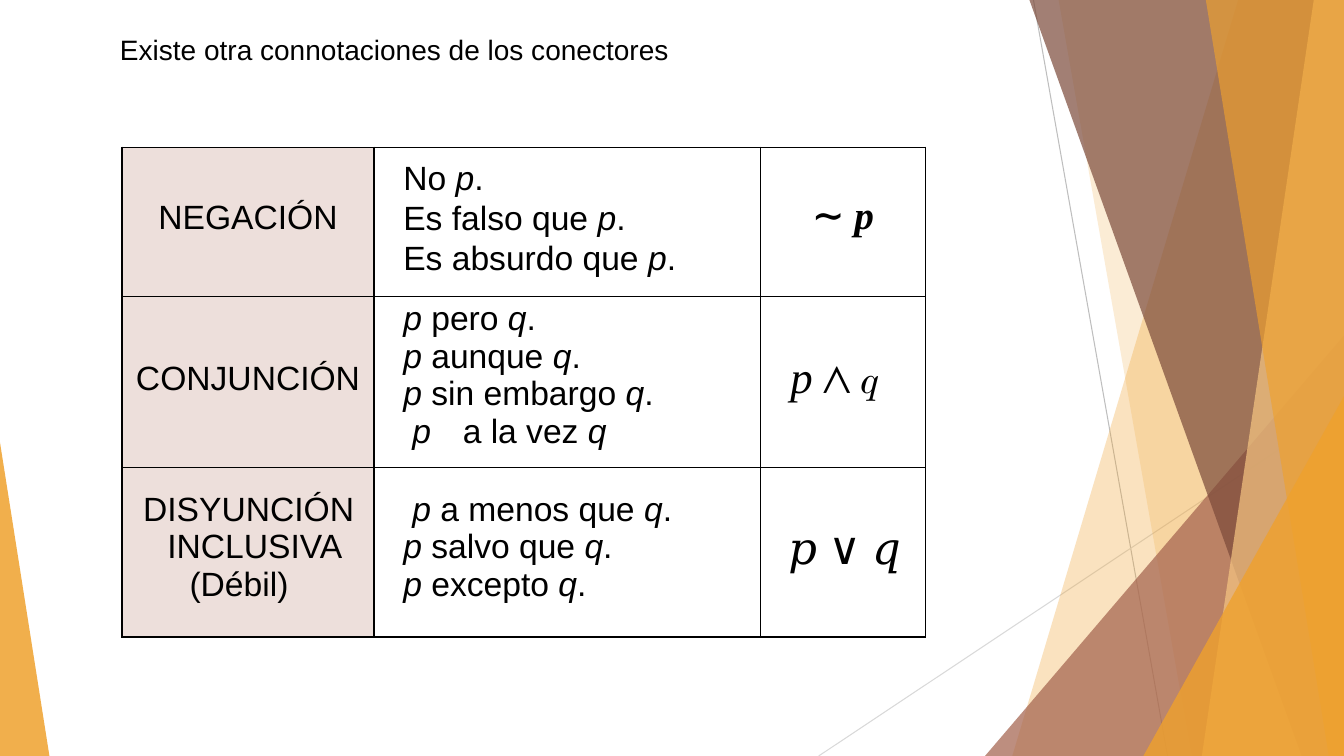
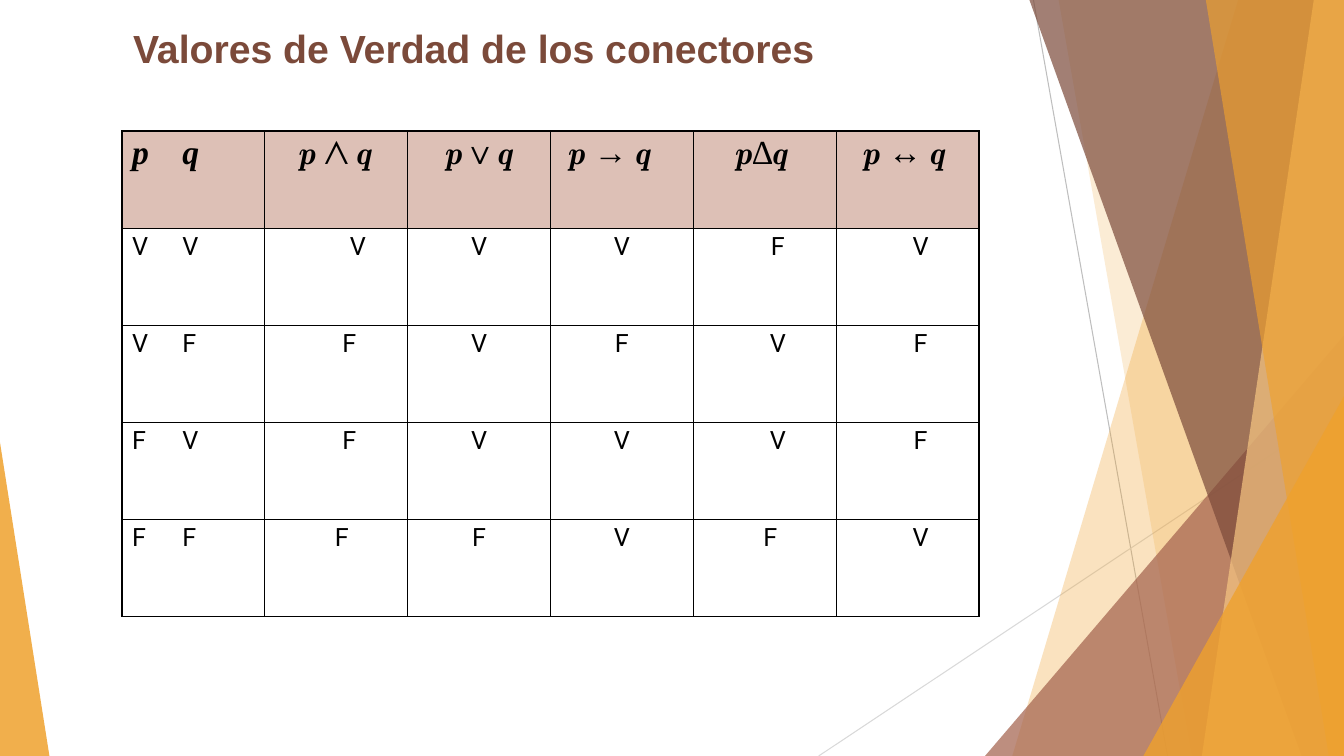
from lxml import etree
from pptx import Presentation
from pptx.dml.color import RGBColor
from pptx.enum.shapes import MSO_CONNECTOR
from pptx.enum.text import MSO_ANCHOR, PP_ALIGN
from pptx.oxml.ns import qn
from pptx.util import Inches, Pt

LEFT, CENTER = PP_ALIGN.LEFT, PP_ALIGN.CENTER
TOP = MSO_ANCHOR.TOP
STRAIGHT = MSO_CONNECTOR.STRAIGHT

COLORS = {
    "black": "000000", "orange": "EFA12D", "sand": "F6C682", "brown": "7B4A3A",
    "rust": "A4634E", "gray": "BEBEBE", "light_gray": "D9D9D9",
    "label": "EDDFDB", "header": "DDC0B6",
}
BODY, MATH, TRUTH = "Arial", "Times New Roman", "Roboto"
WIDTH, HEIGHT = 13.33, 7.5


def write(paragraph, text, size, name=BODY, color="black", bold=False,
          align=LEFT, left=0, tab=None):
    """Write text in one paragraph; parts between asterisks are italic."""
    paragraph.alignment = align
    properties = paragraph._p.get_or_add_pPr()
    properties.set("marL", str(Inches(left)))
    properties.set("indent", "0")
    if tab:
        tabs = etree.SubElement(properties, qn("a:tabLst"))
        etree.SubElement(tabs, qn("a:tab"), pos=str(Inches(tab)), algn="l")
    font = paragraph.font
    font.size, font.name, font.bold = Pt(size), name, bold
    font.color.rgb = RGBColor.from_string(COLORS[color])
    for index, part in enumerate(text.split("*")):
        if part:
            run = paragraph.add_run()
            run.text = part
            if index % 2:
                run.font.italic = True


def add_grid(slide, left, top, widths, heights, fill_for):
    """Add a black-ruled table; fill_for(row, column) gives a colour or None."""
    frame = slide.shapes.add_table(len(heights), len(widths), Inches(left), Inches(top),
                                   Inches(sum(widths)), Inches(sum(heights)))
    table = frame.table
    table.first_row = table.horz_banding = False
    for column, width in zip(table.columns, widths):
        column.width = Inches(width)
    for row, height in zip(table.rows, heights):
        row.height = Inches(height)
    for row in range(len(heights)):
        for column in range(len(widths)):
            cell = table.cell(row, column)
            cell.margin_left = cell.margin_right = cell.margin_bottom = 0
            cell.margin_top = Inches(0.04)
            cell.vertical_anchor = TOP
            color = fill_for(row, column)
            if color:
                cell.fill.solid()
                cell.fill.fore_color.rgb = RGBColor.from_string(COLORS[color])
            else:
                cell.fill.background()
            properties = cell._tc.get_or_add_tcPr()
            for position, side in enumerate(("lnL", "lnR", "lnT", "lnB")):
                border = etree.Element(qn("a:" + side), w=str(Pt(1)))
                solid = etree.SubElement(border, qn("a:solidFill"))
                etree.SubElement(solid, qn("a:srgbClr"), val=COLORS["black"])
                properties.insert(position, border)
    return table


presentation = Presentation()
presentation.slide_width = Inches(WIDTH)
presentation.slide_height = Inches(HEIGHT)
layout = presentation.slide_layouts[6]

# Slides and their titles: text, left, top, width, size, colour, bold
TITLES = [
    ("Existe otra connotaciones de los conectores", 1.19, 0.31, 5.6, 20, "black", False),
    ("Valores de Verdad de los conectores", 1.32, 0.23, 7, 28, "brown", True),
]
slides = []
for text, left, top, width, size, color, bold in TITLES:
    slide = presentation.slides.add_slide(layout)
    slides.append(slide)
    title = slide.shapes.add_textbox(Inches(left), Inches(top), Inches(width), Inches(0.45))
    frame = title.text_frame
    frame.word_wrap = True
    frame.margin_left = frame.margin_right = frame.margin_bottom = 0
    frame.margin_top = Inches(0.01)
    write(frame.paragraphs[0], text, size, color=color, bold=bold)
connotations, truth = slides

# Background lines, moved to the layout that both slides share
for x1, y1, x2, y2, color in [(10.25, 0, 11.58, HEIGHT, "gray"),
                              (WIDTH, 4.03, 8.12, HEIGHT, "light_gray")]:
    line = connotations.shapes.add_connector(STRAIGHT, Inches(x1), Inches(y1),
                                             Inches(x2), Inches(y2))
    line.line.width = Pt(0.75)
    line.line.color.rgb = RGBColor.from_string(COLORS[color])
    etree.SubElement(line._element.spPr, qn("a:effectLst"))
    layout.shapes.element.append(line._element)

# Translucent background bands: colour, opacity in percent, corners
CORNER = (WIDTH, HEIGHT)
BANDS = [
    ("orange", 30, [(WIDTH, 0), (12.28, 0), (10.04, HEIGHT), CORNER]),
    ("orange", 20, [(WIDTH, 0), (10.5, 0), (11.82, HEIGHT), CORNER]),
    ("rust", 72, [(WIDTH, 3.33), (9.77, HEIGHT), CORNER]),
    ("brown", 70, [(WIDTH, 0), (10.21, 0), (12.91, HEIGHT), CORNER]),
    ("sand", 70, [(WIDTH, 0), (13.03, 0), (11.92, HEIGHT), CORNER]),
    ("orange", 65, [(WIDTH, 0), (11.96, 0), (13.18, HEIGHT), CORNER]),
    ("orange", 80, [(WIDTH, 3.93), (11.34, HEIGHT), CORNER]),
    ("orange", 85, [(0, 4.39), (0, HEIGHT), (0.49, HEIGHT)]),
]
for color, opacity, corners in BANDS:
    points = [(Inches(x), Inches(y)) for x, y in corners]
    builder = connotations.shapes.build_freeform(*points[0])
    builder.add_line_segments(points[1:], close=True)
    band = builder.convert_to_shape()
    band.shadow.inherit = False
    band.line.fill.background()
    band.fill.solid()
    band.fill.fore_color.rgb = RGBColor.from_string(COLORS[color])
    tint = band._element.spPr.find(".//" + qn("a:srgbClr"))
    etree.SubElement(tint, qn("a:alpha"), val=str(opacity * 1000))
    layout.shapes.element.append(band._element)

# Slide 1: each cell has a top margin and lines of text, alignment, left, tab
table = add_grid(connotations, 1.21, 1.46, [2.5, 3.83, 1.64], [1.48, 1.7, 1.68],
                 lambda row, column: "label" if column == 0 else None)
PHRASES = [
    [(0.52, [("NEGACIÓN", CENTER, 0, None)]),
     (0.13, [("No *p*.", LEFT, 0.29, None),
             ("Es falso que *p*.", LEFT, 0.29, None),
             ("Es absurdo que *p*.", LEFT, 0.29, None)])],
    [(0.63, [("CONJUNCIÓN", CENTER, 0, None)]),
     (0.04, [("*p* pero *q*.", LEFT, 0.29, None),
             ("*p* aunque *q*.", LEFT, 0.29, None),
             ("*p* sin embargo *q*.", LEFT, 0.29, None),
             ("*p*\ta la vez *q*", LEFT, 0.38, 0.91)])],
    [(0.23, [("DISYUNCIÓN", LEFT, 0.21, None),
             ("INCLUSIVA", LEFT, 0.45, None),
             ("(Débil)", LEFT, 0.67, None)]),
     (0.23, [("*p* a menos que *q*.", LEFT, 0.38, None),
             ("*p* salvo que *q*.", LEFT, 0.29, None),
             ("*p* excepto *q*.", LEFT, 0.29, None)])],
]
for row, cells in enumerate(PHRASES):
    for column, (margin, lines) in enumerate(cells):
        cell = table.cell(row, column)
        cell.margin_top = Inches(margin)
        frame = cell.text_frame
        for index, (text, align, left, tab) in enumerate(lines):
            paragraph = frame.add_paragraph() if index else frame.paragraphs[0]
            write(paragraph, text, 24, align=align, left=left, tab=tab)
            if row == 0 and index:
                paragraph.line_spacing = Pt(28.7)

# Slide 1 formulas: text, size, bold, alignment, left, top margin
FORMULAS = [("∼ *p*", 28, True, CENTER, 0, 0.47),
            ("*p* ⋀ 𝑞", 32, False, LEFT, 0.3, 0.57),
            ("𝑝 ∨ 𝑞", 32, False, LEFT, 0.28, 0.56)]
for row, (text, size, bold, align, left, margin) in enumerate(FORMULAS):
    cell = table.cell(row, 2)
    cell.margin_top = Inches(margin)
    write(cell.text_frame.paragraphs[0], text, size, MATH, bold=bold, align=align, left=left)
table.cell(1, 2).text_frame.paragraphs[0].runs[1].font.size = Pt(28)

# Slide 2: truth table
table = add_grid(truth, 1.21, 1.3, [8.5 / 6] * 6, [4.82 / 5] * 5,
                 lambda row, column: "header" if row == 0 else None)
HEADERS = [("*p\tq*", LEFT, 0.1, 0.85), ("𝒑 ⋀ 𝒒", LEFT, 0.33, None),
           ("𝒑 ∨ 𝒒", CENTER, 0, None), ("𝒑 → 𝒒", LEFT, 0.17, None),
           ("𝒑∆𝒒", LEFT, 0.41, None), ("𝒑 ↔ 𝒒", LEFT, 0.26, None)]
for column, (text, align, left, tab) in enumerate(HEADERS):
    write(table.cell(0, column).text_frame.paragraphs[0], text, 24, MATH,
          bold=column == 0, align=align, left=left, tab=tab)

VALUES = [("V\tV", "VVVFV"), ("V\tF", "FVFVF"), ("F\tV", "FVVVF"), ("F\tF", "FFVFV")]
COLUMN_INDENTS = [0.26, 0, 0, 0.26, 0.26]
SPECIAL_INDENTS = {(1, 1): 0.43, (4, 1): 0.11, (4, 4): 0.11}
for row, (pair, results) in enumerate(VALUES, 1):
    write(table.cell(row, 0).text_frame.paragraphs[0], pair, 18, TRUTH, left=0.1, tab=0.85)
    for column, (value, indent) in enumerate(zip(results, COLUMN_INDENTS), 1):
        write(table.cell(row, column).text_frame.paragraphs[0], value, 18, TRUTH,
              align=CENTER, left=SPECIAL_INDENTS.get((row, column), indent))

presentation.save("out.pptx")
